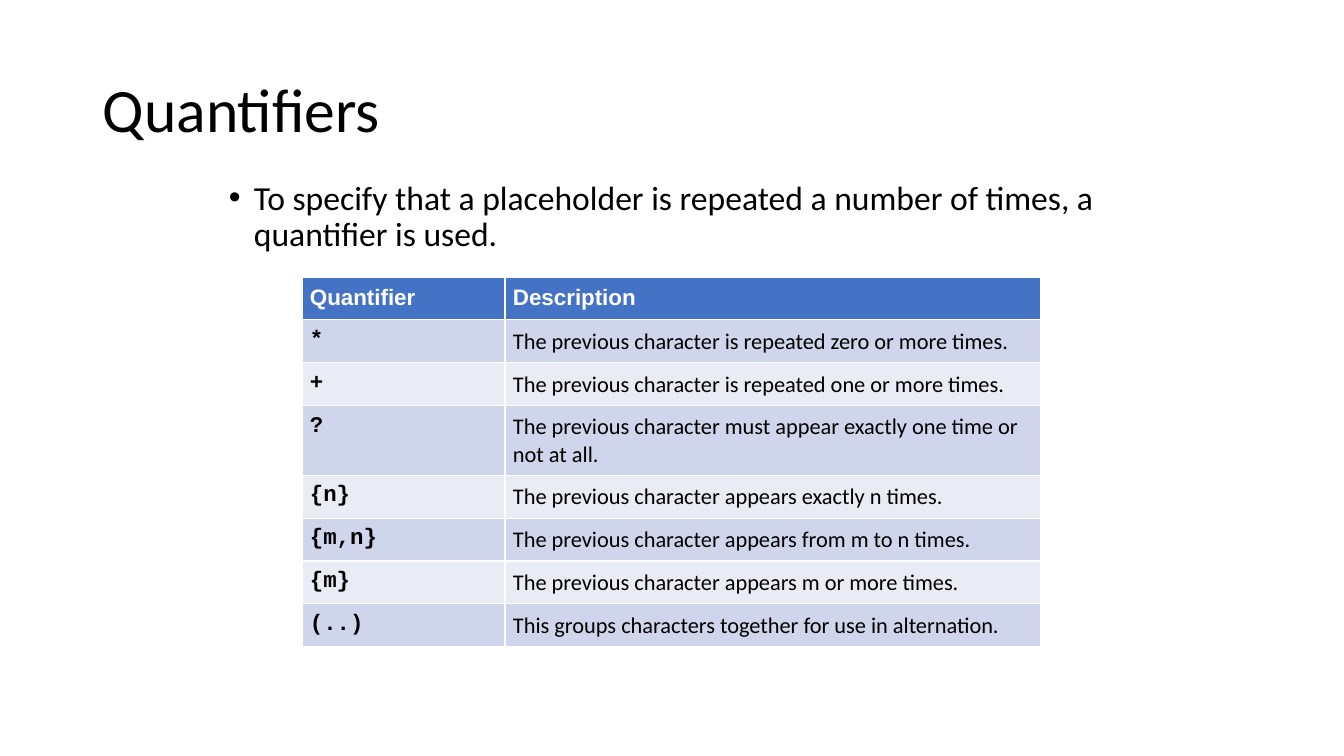
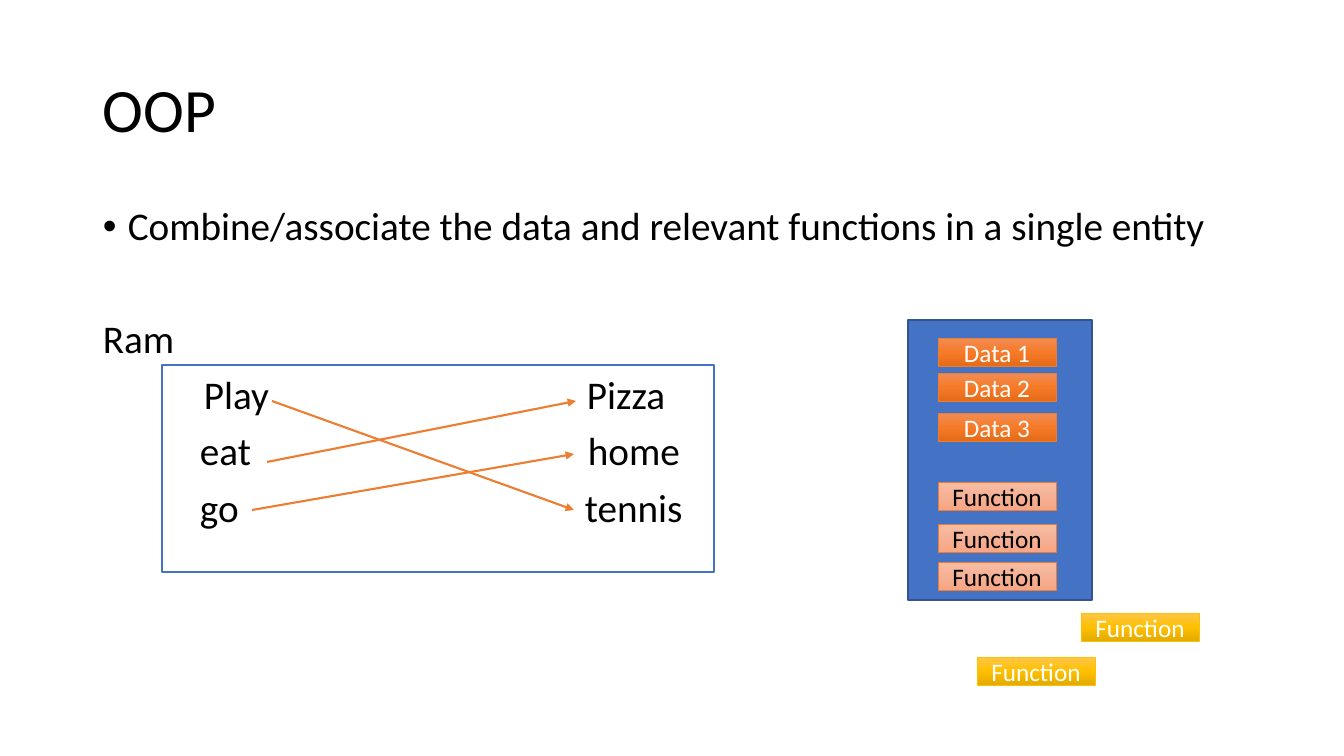
from copy import deepcopy

from lxml import etree
from pptx import Presentation
from pptx.dml.color import RGBColor
from pptx.enum.shapes import MSO_CONNECTOR, MSO_SHAPE
from pptx.enum.text import MSO_ANCHOR, PP_ALIGN
from pptx.oxml.ns import qn
from pptx.util import Emu, Pt

RECTANGLE = MSO_SHAPE.RECTANGLE
STRAIGHT = MSO_CONNECTOR.STRAIGHT
MIDDLE = MSO_ANCHOR.MIDDLE
TOP = MSO_ANCHOR.TOP
CENTER = PP_ALIGN.CENTER
LEFT = PP_ALIGN.LEFT

EMU_PER_PX = 914400 / 100.8
SLIDE_SIZE = (1344, 756)
TITLE_AREA = (93, 40, 1159, 146)
BODY_INSET = 10
BULLET_INDENT = 25

COLORS = {
    "black": "000000",
    "white": "FFFFFF",
    "blue": "4472C4",
    "navy": "325491",
    "orange": "ED7D31",
    "gold": "FFC000",
    "band_dark": "CFD5EA",
    "band_light": "E9EBF5",
}

QUANTIFIER_INTRO = (
    "To specify that a placeholder is repeated a number of times, "
    "a quantifier is used."
)
QUANTIFIER_INTRO_AREA = (219, 176, 907, 101)
TABLE_AREA = (302, 277, 739, 328)
COLUMN_WIDTHS = (203, 536)
CELL_INSET = 8
QUANTIFIERS = [
    ("Quantifier", "Description"),
    ("*", "The previous character is repeated zero or more times."),
    ("+", "The previous character is repeated one or more times."),
    ("?", "The previous character must appear exactly one time or not at all."),
    ("{n}", "The previous character appears exactly n times."),
    ("{m,n}", "The previous character appears from m to n times."),
    ("{m}", "The previous character appears m or more times."),
    ("(..)", "This groups characters together for use in alternation."),
]

OOP_AREA = (93, 202, 1159, 480)
OOP_INTRO = "Combine/associate the data and relevant functions in a single entity"
OOP_OWNER = "Ram"
PAIRS = [
    ("Play", 204, "Pizza", 587),
    ("eat", 200, "home", 588),
    ("go", 200, "tennis", 585),
]
PAIRS_AREA = (162, 365, 552, 207)
ENTITY_AREA = (908, 320, 184, 280)
ARROWS = [
    (272, 401, 574, 510),
    (267, 462, 576, 401),
    (252, 510, 574, 454),
]
CHIP_SIZE = (118, 28)
CHIP_STYLES = {
    "data": (("F18C57", "F67B28", "E56C19"), "orange", "white"),
    "inner": (("F7BDA5", "F5B196", "F8A582"), "orange", "black"),
    "outer": (("FFC64B", "FFC000", "E3AB00"), "gold", "white"),
}
CHIPS = [
    ("Data 1", 938, 338, "data"),
    ("Data 2", 938, 373, "data"),
    ("Data 3", 938, 413, "data"),
    ("Function", 938, 482, "inner"),
    ("Function", 938, 524, "inner"),
    ("Function", 938, 562, "inner"),
    ("Function", 1081, 613, "outer"),
    ("Function", 977, 657, "outer"),
]


def px(length):
    return Emu(round(length * EMU_PER_PX))


def place(area):
    return [px(length) for length in area]


def rgb(name):
    return RGBColor.from_string(COLORS[name])


def write(frame, text, *, size, color="black", font="Calibri", bold=False,
          align=LEFT, spacing=1.0, before=0, bullet=False, tabs=()):
    para = frame.add_paragraph() if frame.text else frame.paragraphs[0]
    properties = para._p.get_or_add_pPr()
    if bullet:
        properties.set("marL", str(px(BULLET_INDENT)))
        properties.set("indent", str(-px(BULLET_INDENT)))
        etree.SubElement(properties, qn("a:buFont"), typeface="Arial")
        etree.SubElement(properties, qn("a:buChar"), char="•")
    if tabs:
        stops = etree.SubElement(properties, qn("a:tabLst"))
        for stop in tabs:
            etree.SubElement(stops, qn("a:tab"), pos=str(px(stop)), algn="l")
    para.alignment = align
    para.line_spacing = spacing
    if before:
        para.space_before = Pt(before)
    span = para.add_run()
    span.text = text
    span.font.name = font
    span.font.size = Pt(size)
    span.font.bold = bold
    span.font.color.rgb = rgb(color)


def add_text_box(page, area, anchor=TOP):
    frame = page.shapes.add_textbox(*place(area)).text_frame
    frame.word_wrap = True
    frame.vertical_anchor = anchor
    return frame


def add_title(page, text):
    write(add_text_box(page, TITLE_AREA, MIDDLE), text, size=44, spacing=0.9)


def add_rectangle(page, area, line, width, fill=None):
    box = page.shapes.add_shape(RECTANGLE, *place(area))
    box.shadow.inherit = False
    if fill:
        box.fill.solid()
        box.fill.fore_color.rgb = rgb(fill)
    box.line.color.rgb = rgb(line)
    box.line.width = Pt(width)
    return box


def add_chip(page, text, left, top, style):
    shades, line, color = CHIP_STYLES[style]
    chip = add_rectangle(page, (left, top, *CHIP_SIZE), line, 0.5)
    chip.fill.gradient()
    chip.fill.gradient_angle = 270
    stop_list = chip._element.spPr.find(qn("a:gradFill")).find(qn("a:gsLst"))
    stop_list.append(deepcopy(stop_list[0]))
    for index, (stop, shade) in enumerate(zip(chip.fill.gradient_stops, shades)):
        stop.position = index / 2
        stop.color.rgb = RGBColor.from_string(shade)
    frame = chip.text_frame
    frame.margin_left = frame.margin_right = 0
    frame.margin_top = frame.margin_bottom = 0
    frame.vertical_anchor = MIDDLE
    write(frame, text, size=18, color=color, align=CENTER)


def add_arrow(page, ends):
    arrow = page.shapes.add_connector(STRAIGHT, *place(ends))
    arrow.line.color.rgb = rgb("orange")
    arrow.line.width = Pt(1.5)
    etree.SubElement(arrow.line._get_or_add_ln(), qn("a:tailEnd"), type="triangle")
    etree.SubElement(arrow._element.spPr, qn("a:effectLst"))


def format_cell(cell, fill):
    properties = cell._tc.get_or_add_tcPr()
    for side in ("lnL", "lnR", "lnT", "lnB"):
        border = etree.SubElement(properties, qn(f"a:{side}"), w=str(Pt(1)))
        paint = etree.SubElement(border, qn("a:solidFill"))
        etree.SubElement(paint, qn("a:srgbClr"), val=COLORS["white"])
    cell.fill.solid()
    cell.fill.fore_color.rgb = rgb(fill)
    cell.margin_left = cell.margin_right = px(CELL_INSET)
    cell.margin_top = cell.margin_bottom = px(CELL_INSET)


def add_quantifier_table(page):
    table = page.shapes.add_table(
        len(QUANTIFIERS), len(COLUMN_WIDTHS), *place(TABLE_AREA)
    ).table
    table.horz_banding = False
    for column, width in zip(table.columns, COLUMN_WIDTHS):
        column.width = px(width)
    for row, texts in enumerate(QUANTIFIERS):
        header = row == 0
        fill = "blue" if header else ("band_light", "band_dark")[row % 2]
        body_fonts = ("Courier New", "Calibri")
        for column, text in enumerate(texts):
            cell = table.cell(row, column)
            format_cell(cell, fill)
            write(cell.text_frame, text, size=16,
                  color="white" if header else "black",
                  font="Arial" if header else body_fonts[column],
                  bold=header or column == 0)


def build_quantifiers(page):
    add_title(page, "Quantifiers")
    intro = add_text_box(page, QUANTIFIER_INTRO_AREA)
    write(intro, QUANTIFIER_INTRO, size=24, spacing=0.9, bullet=True)
    add_quantifier_table(page)


def build_oop(page):
    add_rectangle(page, ENTITY_AREA, "navy", 1, "blue")
    add_rectangle(page, PAIRS_AREA, "blue", 1, "white")
    add_title(page, "OOP")
    body = add_text_box(page, OOP_AREA)
    write(body, OOP_INTRO, size=28, spacing=0.9, bullet=True)
    write(body, OOP_OWNER, size=28, spacing=0.9, before=50)
    text_left = OOP_AREA[0] + BODY_INSET
    for verb, verb_left, noun, noun_left in PAIRS:
        write(body, f"\t{verb}\t{noun}", size=28, spacing=0.9, before=10,
              tabs=(verb_left - text_left, noun_left - text_left))
    for chip in CHIPS:
        add_chip(page, *chip)
    for ends in ARROWS:
        add_arrow(page, ends)


def main():
    deck = Presentation()
    deck.slide_width, deck.slide_height = place(SLIDE_SIZE)
    for build in (build_quantifiers, build_oop):
        build(deck.slides.add_slide(deck.slide_layouts[6]))
    deck.save("out.pptx")


if __name__ == "__main__":
    main()
